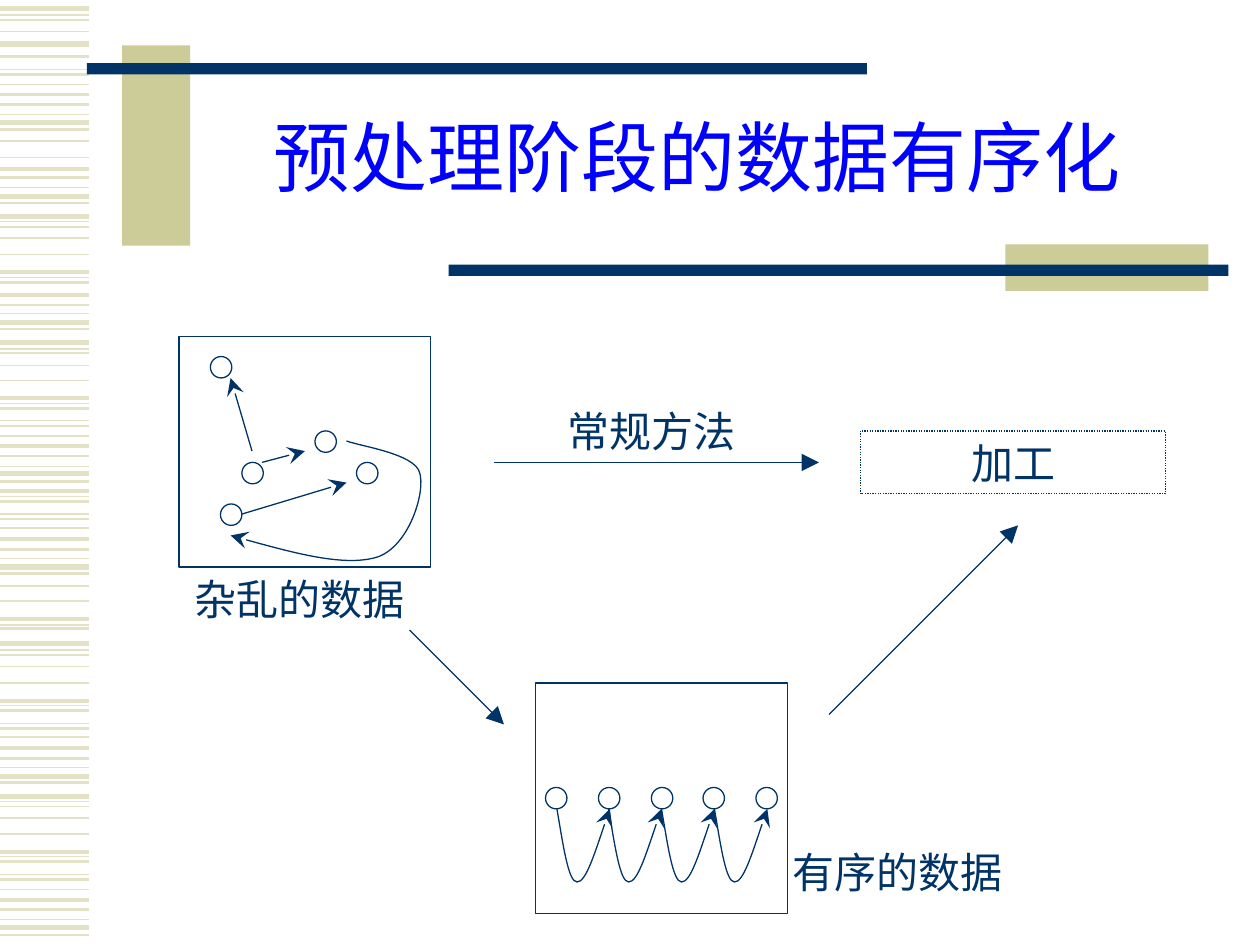
import pptx
import pptx.util
import pptx.dml.color
import pptx.enum.dml
import pptx.enum.shapes
import pptx.enum.text
import pptx.oxml
import pptx.oxml.ns

UNIT = 9144
COLORS = {"navy": "003366", "sand": "CCCC99", "stripe": "E3E2C7", "blue": "0000FF"}
KIND = pptx.enum.shapes.MSO_SHAPE
ALIGN = pptx.enum.text.PP_ALIGN
ANCHOR = pptx.enum.text.MSO_ANCHOR
FIT = pptx.enum.text.MSO_AUTO_SIZE
QN = pptx.oxml.ns.qn


def ink(item, color, width=0.75, head=None, tail=None):
    if hasattr(item, "fill"):
        item.fill.background()
    item.line.color.rgb = pptx.dml.color.RGBColor.from_string(COLORS[color])
    item.line.width = pptx.util.Pt(width)
    props = item._element.spPr
    edge = props.find(QN("a:ln"))
    space = pptx.oxml.ns.nsdecls("a")
    for tag, style in (("headEnd", head), ("tailEnd", tail)):
        if style:
            edge.append(pptx.oxml.parse_xml(
                f'<a:{tag} {space} type="{style}" w="lg" len="lg"/>'))
    props.append(pptx.oxml.parse_xml(f"<a:effectLst {space}/>"))


def write(item, text, size, color):
    frame = item.text_frame
    frame.text = text
    frame.word_wrap = True
    frame.vertical_anchor = ANCHOR.TOP
    line = frame.paragraphs[0]
    line.alignment = ALIGN.CENTER
    font = line.runs[0].font
    font.name = "Times New Roman"
    font.size = pptx.util.Pt(size)
    font.color.rgb = pptx.dml.color.RGBColor.from_string(COLORS[color])
    return frame


deck = pptx.Presentation()
deck.slide_width = 1000 * UNIT
deck.slide_height = 750 * UNIT
slide = deck.slides.add_slide(deck.slide_layouts[6])
shapes = slide.shapes
straight = pptx.enum.shapes.MSO_CONNECTOR.STRAIGHT

stripes = {
    0.75: [12, 55, 91, 149, 176, 220, 249, 277, 320, 334, 370, 394, 408, 443, 496,
           516, 560, 574, 609, 636, 680, 694, 730],
    1: [16, 25, 67, 112, 125, 180, 189, 202, 280, 290, 302, 346, 419, 465, 477,
        520, 529, 542, 585, 640, 649, 662, 706],
    1.5: [45, 59, 83, 103, 141, 161, 224, 242, 261, 324, 338, 362, 382, 398, 412,
          436, 455, 499, 564, 578, 602, 621, 684, 698, 722, 742],
    2.25: [75, 134, 216, 234, 316, 354, 390, 428, 491, 556, 594, 676, 714],
    3: [7, 35, 97, 156, 172, 256, 272, 376, 450, 511, 616, 632, 736],
}
for width, rows in stripes.items():
    for y in rows:
        stripe = shapes.add_connector(straight, 0, y * UNIT, 71 * UNIT, y * UNIT)
        ink(stripe, "stripe", width)

bars = [
    ((97, 36, 54, 159), "sand"),
    ((69, 50, 619, 9), "navy"),
    ((798, 194, 161, 37), "sand"),
    ((356, 210, 619, 9), "navy"),
]
for place, color in bars:
    bar = shapes.add_shape(KIND.RECTANGLE, *[n * UNIT for n in place])
    bar.shadow.inherit = False
    bar.fill.solid()
    bar.fill.fore_color.rgb = pptx.dml.color.RGBColor.from_string(COLORS[color])
    bar.line.fill.background()

title = shapes.add_textbox(*[n * UNIT for n in (150, 67, 807, 125)])
frame = write(title, "预处理阶段的数据有序化", 44, "blue")
frame.vertical_anchor = ANCHOR.MIDDLE
frame.paragraphs[0].line_spacing = 0.85

work = shapes.add_shape(KIND.RECTANGLE, *[n * UNIT for n in (683, 342, 242, 50)])
ink(work, "navy")
work.line.dash_style = pptx.enum.dml.MSO_LINE.ROUND_DOT
labels = [(work, "加工")]
for text, place in [
    ("常规方法", (417, 317, 200, 50)),
    ("杂乱的数据", (142, 450, 192, 50)),
    ("有序的数据", (608, 667, 208, 50)),
]:
    labels.append((shapes.add_textbox(*[n * UNIT for n in place]), text))
for item, text in labels:
    frame = write(item, text, 24, "navy")
    frame.auto_size = FIT.SHAPE_TO_FIT_TEXT
    frame.paragraphs[0].space_before = pptx.util.Pt(15)

for x, y in [(142, 267), (425, 542)]:
    box = shapes.add_shape(KIND.RECTANGLE, x * UNIT, y * UNIT, 200 * UNIT, 183 * UNIT)
    ink(box, "navy")

mess = [(167, 283), (283, 367), (250, 342), (192, 367), (175, 400)]
chain = [(round((1300 + i * 125) / 3), 625) for i in range(5)]
for x, y in mess + chain:
    dot = shapes.add_shape(KIND.OVAL, x * UNIT, y * UNIT, 17 * UNIT, 17 * UNIT)
    ink(dot, "navy")

arrows = [
    ((325, 500, 400, 575), None, "triangle"),
    ((658, 567, 808, 417), None, "triangle"),
    ((392, 367, 650, 367), None, "triangle"),
    ((183, 300, 200, 358), "stealth", None),
    ((208, 367, 242, 358), None, "stealth"),
    ((192, 408, 275, 383), None, "stealth"),
]
for ends, head, tail in arrows:
    arrow = shapes.add_connector(straight, *[n * UNIT for n in ends])
    ink(arrow, "navy", head=head, tail=tail)

curves = [
    ([(183, 425), (229, 438), (275, 450), (300, 442), (325, 433), (338, 390),
      (333, 375), (329, 360), (285, 354), (275, 350)], "stealth", None)
]
for i in range(4):
    x = round((1325 + i * 125) / 3)
    loop = [(0, 642), (5, 671), (9, 700), (16, 700), (23, 700), (32, 671), (42, 642)]
    curves.append(([(x + dx, y) for dx, y in loop], None, "stealth"))

for knots, head, tail in curves:
    pen = shapes.build_freeform(*knots[0], scale=UNIT)
    pen.add_line_segments(knots[1:], close=False)
    curve = pen.convert_to_shape()
    legs = list(curve._element.iter(QN("a:lnTo")))
    for i in range(0, len(legs), 3):
        bend = pptx.oxml.parse_xml(f'<a:cubicBezTo {pptx.oxml.ns.nsdecls("a")}/>')
        legs[i].addprevious(bend)
        for leg in legs[i:i + 3]:
            bend.append(leg[0])
            leg.getparent().remove(leg)
    ink(curve, "navy", head=head, tail=tail)

deck.save("out.pptx")
